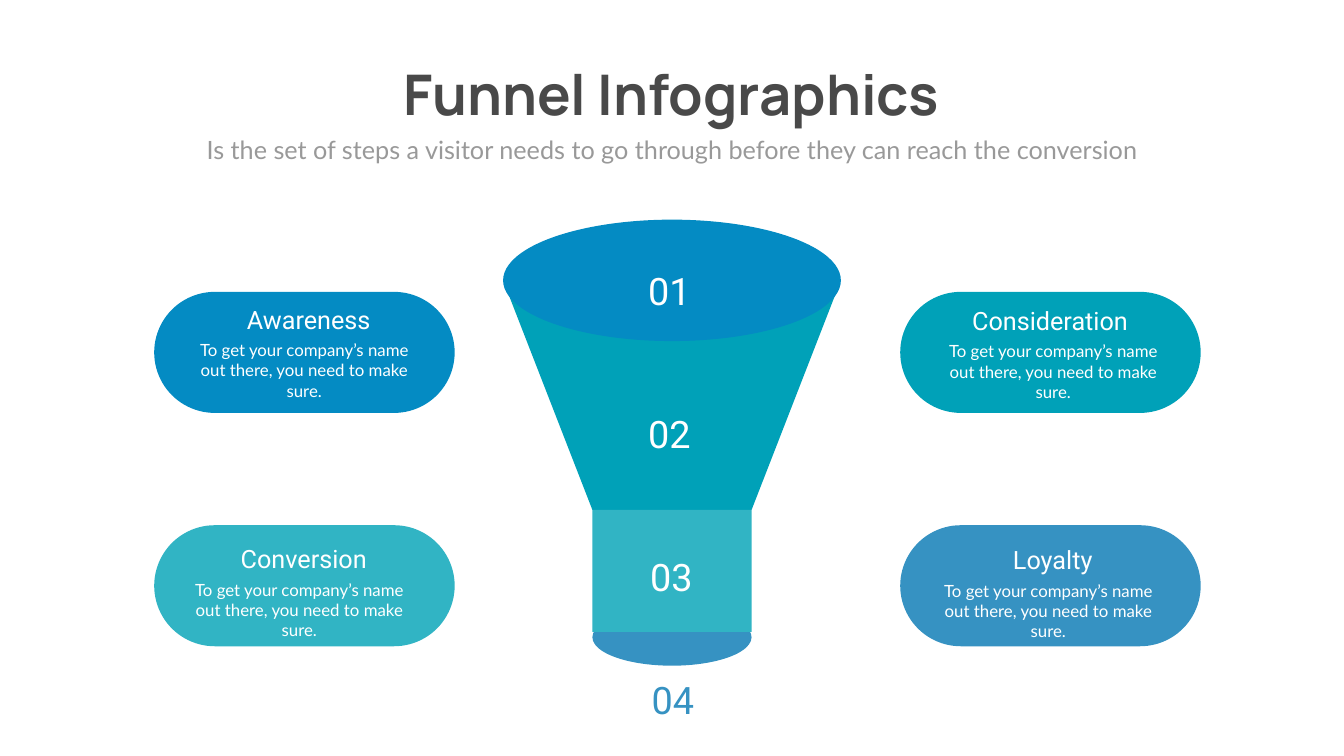
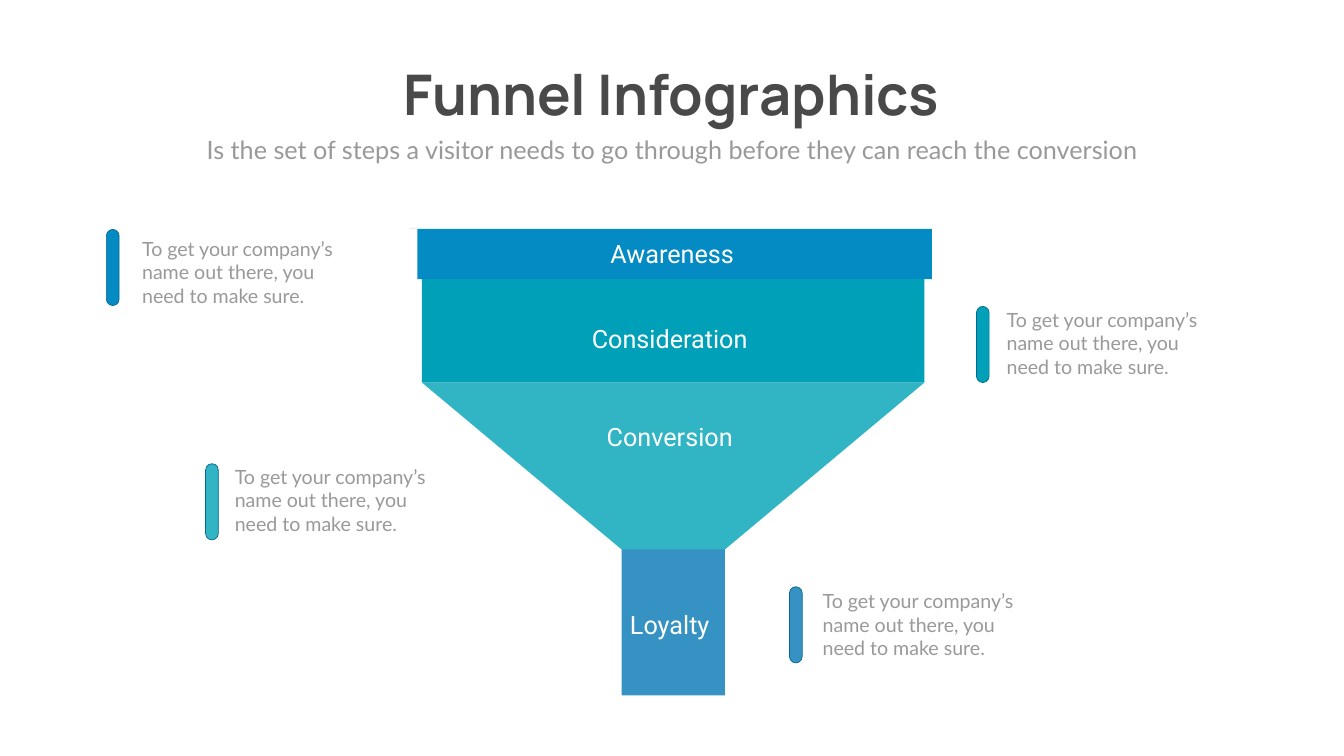
from dataclasses import dataclass

from pptx import Presentation, util as u
from pptx.dml.color import RGBColor
from pptx.enum import shapes, text


@dataclass(frozen=True)
class Theme:
    # Stage colours
    awareness: str = "048BC3"
    consideration: str = "00A1B8"
    conversion: str = "31B4C4"
    loyalty: str = "3692C2"
    # Text and outline colours
    white: str = "FFFFFF"
    dark: str = "494949"
    grey: str = "999999"
    outline: str = "036790"
    # Fonts
    title_font: str = "Manrope"
    label_font: str = "Roboto"
    body_font: str = "Lato"
    # Type sizes
    title_size: int = 80
    number_size: int = 54
    label_size: int = 36
    note_size: int = 28
    card_size: int = 24


THEME = Theme()
TITLE = "Funnel Infographics"
SUBTITLE = ("Is the set of steps a visitor needs to go through "
            "before they can reach the conversion")
DETAIL = "To get your company’s name out there, you need to make sure."
CENTRE, LEFT = text.PP_ALIGN.CENTER, text.PP_ALIGN.LEFT
LABEL_HEIGHT = 1.8


def cm(*values):
    return [u.Cm(value) for value in values]


def set_all(target, values):
    for name, value in values.items():
        setattr(target, name, value)


class Deck:
    """Holds the theme and the slide being built; lengths are in cm."""

    def __init__(self, theme, width, height):
        self.theme = theme
        self.prs = Presentation()
        self.prs.slide_width, self.prs.slide_height = cm(width, height)
        self.slide = None

    def new_slide(self, heading, subheading):
        t = self.theme
        self.slide = self.prs.slides.add_slide(self.prs.slide_layouts[5])
        title = self.slide.shapes.title
        set_all(title, dict(zip(("left", "top", "width", "height"),
                                cm(18.97, 2.84, 29.74, 3.68))))
        self.fill_text(title, heading, t.title_font, t.title_size, t.dark, bold=True)
        set_all(title.text_frame, {
            "word_wrap": False, "vertical_anchor": text.MSO_ANCHOR.MIDDLE,
            "margin_top": 0, "margin_bottom": 0})
        self.textbox((7.42, 6.63, 52.88, LABEL_HEIGHT), subheading,
                     t.body_font, t.label_size, t.grey)

    def fill_text(self, holder, words, font, size, colour, align=CENTRE, bold=False):
        frame = holder.text_frame
        set_all(frame, {"word_wrap": True, "auto_size": text.MSO_AUTO_SIZE.NONE,
                        "vertical_anchor": text.MSO_ANCHOR.TOP})
        frame.text = words
        paragraph = frame.paragraphs[0]
        paragraph.alignment = align
        set_all(paragraph.font, {"name": font, "size": u.Pt(size), "bold": bold})
        paragraph.font.color.rgb = RGBColor.from_string(colour)

    def textbox(self, box, words, font, size, colour, align=CENTRE):
        self.fill_text(self.slide.shapes.add_textbox(*cm(*box)),
                       words, font, size, colour, align)

    def label(self, left, top, width, words):
        self.textbox((left, top, width, LABEL_HEIGHT), words,
                     self.theme.label_font, self.theme.label_size, self.theme.white)

    def paint(self, shape, fill, line=None):
        shape.shadow.inherit = False
        shape.fill.solid()
        shape.fill.fore_color.rgb = RGBColor.from_string(fill)
        if line:
            shape.line.color.rgb = RGBColor.from_string(line)
            shape.line.width = u.Pt(1)
        else:
            shape.line.fill.background()

    def preset(self, kind, box, fill, line=None):
        shape = self.slide.shapes.add_shape(kind, *cm(*box))
        self.paint(shape, fill, line)
        return shape

    def block(self, box, fill):
        self.preset(shapes.MSO_SHAPE.RECTANGLE, box, fill)

    def oval(self, box, fill):
        self.preset(shapes.MSO_SHAPE.OVAL, box, fill)

    def pill(self, box, fill, line=None):
        pill = self.preset(shapes.MSO_SHAPE.ROUNDED_RECTANGLE, box, fill, line)
        pill.adjustments[0] = 0.5

    def polygon(self, points, fill):
        start, *rest = [cm(*point) for point in points]
        builder = self.slide.shapes.build_freeform(*start)
        builder.add_line_segments(rest, close=True)
        self.paint(builder.convert_to_shape(), fill)


def build_round_funnel(deck):
    t = deck.theme
    deck.new_slide(TITLE, SUBTITLE)

    # Stage cards: card corner, fill, label left/top/width, detail left
    card_left, card_right, row_1, row_2 = 7.77, 45.36, 14.71, 26.47
    cards = [
        ("Awareness", card_left, row_1, t.awareness, (9.22, 15.21, 12.67), 9.22),
        ("Consideration", card_right, row_1, t.consideration,
         (46.18, 15.27, 13.46), 46.96),
        ("Conversion", card_left, row_2, t.conversion, (8.97, 27.28, 12.67), 8.97),
        ("Loyalty", card_right, row_2, t.loyalty, (46.71, 27.33, 12.67), 46.71),
    ]
    for stage, left, top, fill, place, detail_left in cards:
        deck.pill((left, top, 15.14, 6.1), fill)
        deck.label(*place, stage)
        deck.textbox((detail_left, place[1] + LABEL_HEIGHT, 12.22, 4.37), DETAIL,
                     t.body_font, t.card_size, t.white)

    # Funnel: cone, rim, outlet and spout
    rim_left, rim_width, rim_top, rim_height = 25.35, 17.02, 11.07, 6.12
    spout_left, spout_width, spout_top = 29.85, 8.02, 25.7
    rim_middle = rim_top + rim_height / 2
    deck.polygon([(rim_left, rim_middle), (rim_left + rim_width, rim_middle),
                  (spout_left + spout_width, spout_top), (spout_left, spout_top)],
                 t.consideration)
    deck.oval((rim_left, rim_top, rim_width, rim_height), t.awareness)
    deck.oval((spout_left, 30.68, spout_width, 2.87), t.loyalty)
    deck.block((spout_left, spout_top, spout_width, 6.15), t.conversion)

    # Step numbers
    steps = [(29.59, 13.36, t.white), (29.59, 20.55, t.white),
             (29.69, 27.79, t.white), (29.77, 33.99, t.loyalty)]
    for step, (left, top, colour) in enumerate(steps, 1):
        deck.textbox((left, top, 8.28, 2.57), f"{step:02}",
                     t.label_font, t.number_size, colour)


def build_flat_funnel(deck):
    t = deck.theme
    deck.new_slide(TITLE, SUBTITLE)

    # Funnel: stem, lip, body and cone
    stem_left, stem_width = 31.32, 5.21
    body_left, body_width = 21.26, 25.32
    lip_left, lip_right, lip_top = 21.03, 46.96, 11.53
    body_top, cone_top, cone_bottom = 14.07, 19.28, 27.69
    deck.block((stem_left, 23.9, stem_width, 11.15), t.loyalty)
    deck.polygon([(20.65, lip_top), (lip_right, lip_top), (lip_right, body_top),
                  (lip_left, body_top), (lip_left, lip_top)], t.awareness)
    deck.block((body_left, body_top, body_width, cone_top - body_top),
               t.consideration)
    deck.polygon([(body_left, cone_top), (body_left + body_width, cone_top),
                  (stem_left + stem_width, cone_bottom), (stem_left, cone_bottom)],
                 t.conversion)

    # Stage labels with their side notes: label place, marker corner, note corner
    stages = [
        ("Awareness", t.awareness, (28.6, 11.91, 10.54), (5.36, 11.56), (6.91, 11.81)),
        ("Consideration", t.consideration, (26.39, 16.18, 14.71),
         (49.2, 15.44), (50.47, 15.39)),
        ("Conversion", t.conversion, (26.39, 21.11, 14.71),
         (10.36, 23.37), (11.58, 23.29)),
        ("Loyalty", t.loyalty, (30.99, 30.58, 5.51), (39.78, 29.57), (41.2, 29.57)),
    ]
    for stage, fill, place, marker, note in stages:
        deck.label(*place, stage)
        deck.pill((*marker, 0.64, 3.84), fill, t.outline)
        deck.textbox((*note, 11.48, 3.84), DETAIL,
                     t.body_font, t.note_size, t.grey, LEFT)


def main():
    deck = Deck(THEME, 67.72, 38.1)
    build_round_funnel(deck)
    build_flat_funnel(deck)
    deck.prs.save("out.pptx")


if __name__ == "__main__":
    main()
